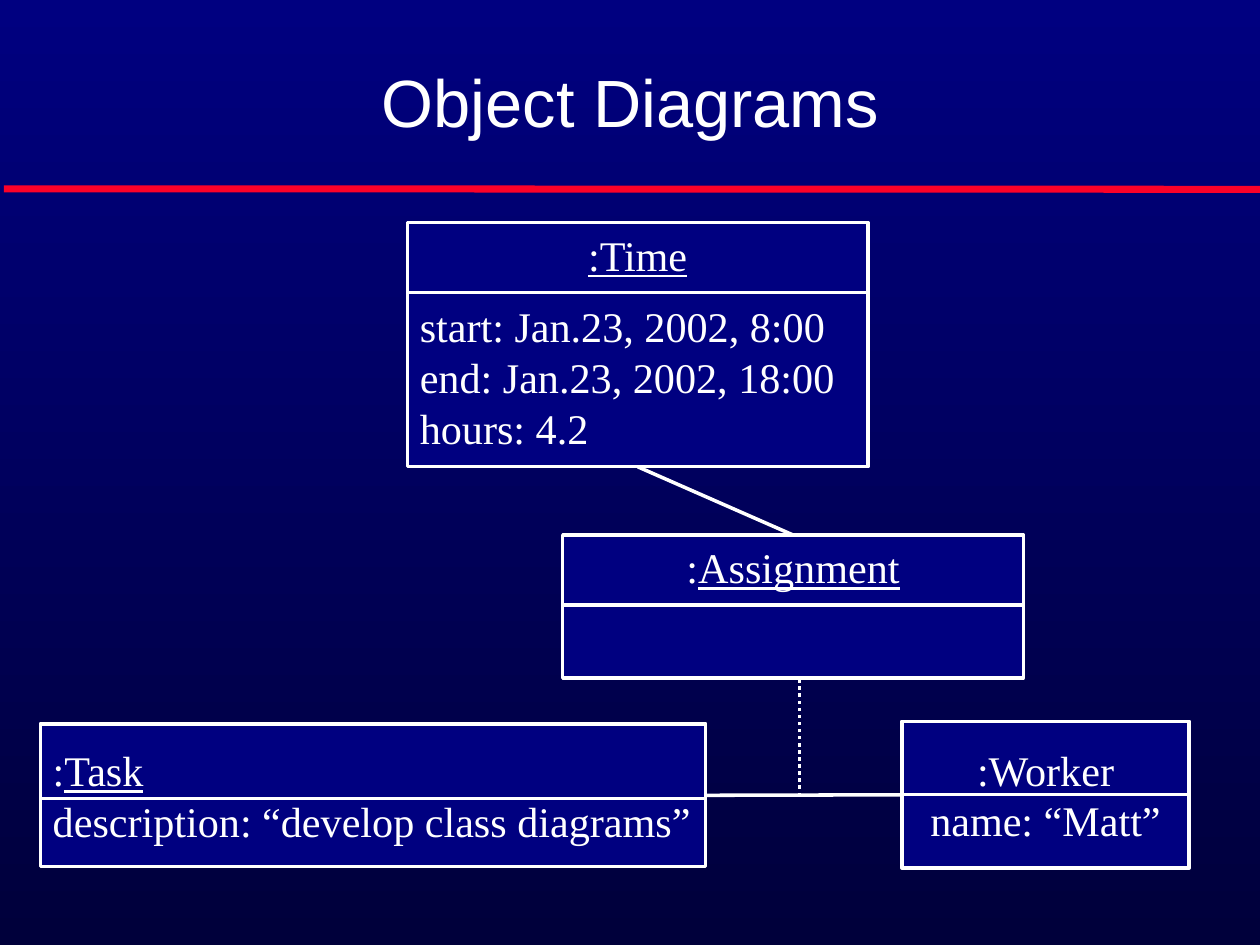
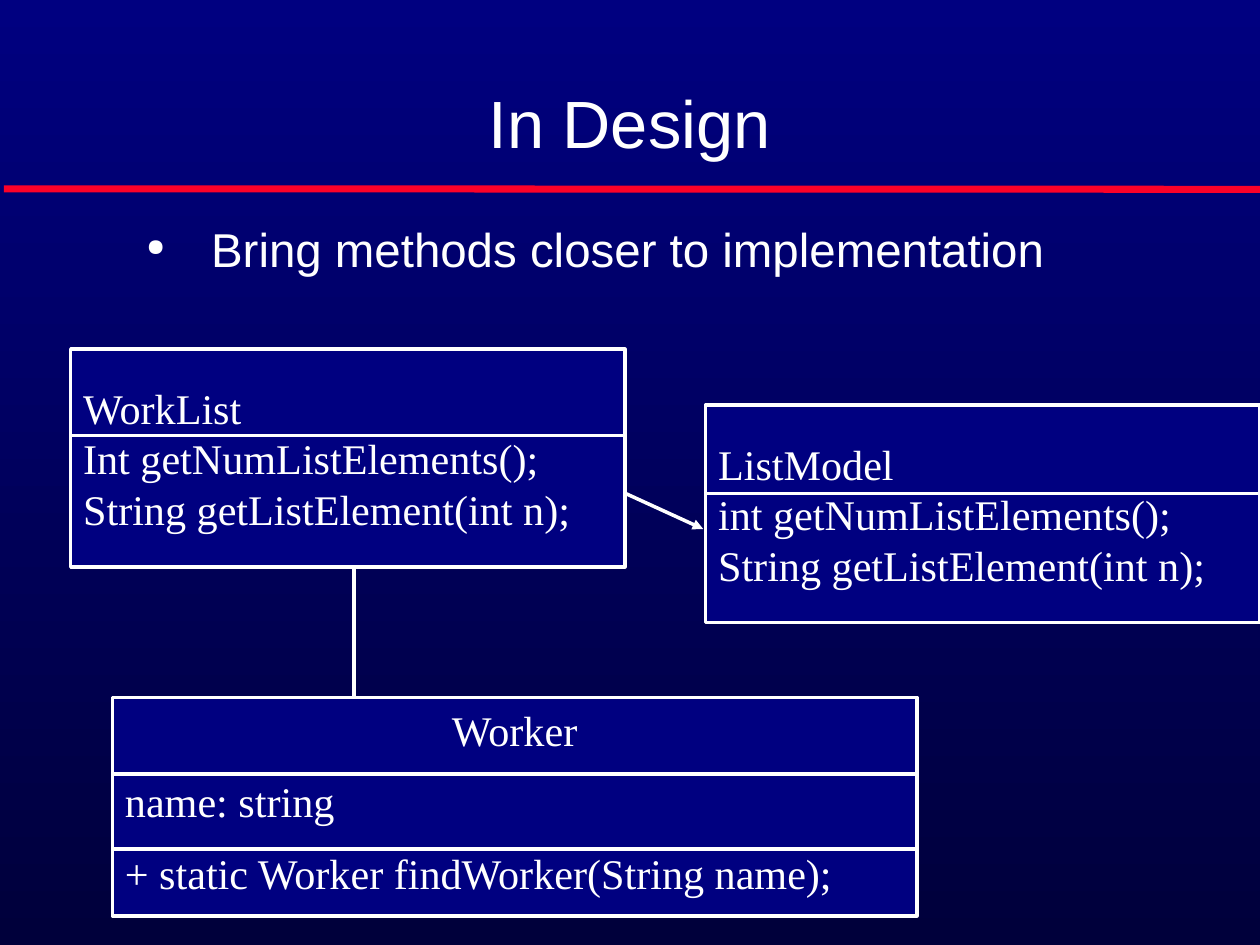
"""Build two slides on UML object diagrams and class design."""
from dataclasses import dataclass
from typing import NamedTuple

from lxml import etree
from pptx import Presentation
from pptx.dml.color import RGBColor
from pptx.enum.dml import MSO_LINE
from pptx.enum.shapes import MSO_CONNECTOR, MSO_SHAPE
from pptx.enum.text import MSO_ANCHOR, PP_ALIGN
from pptx.oxml.ns import qn
from pptx.util import Cm, Pt

STRAIGHT = MSO_CONNECTOR.STRAIGHT
RECTANGLE = MSO_SHAPE.RECTANGLE
TOP, MIDDLE, BOTTOM = MSO_ANCHOR.TOP, MSO_ANCHOR.MIDDLE, MSO_ANCHOR.BOTTOM
LEFT, CENTER = PP_ALIGN.LEFT, PP_ALIGN.CENTER
DOTTED = MSO_LINE.ROUND_DOT
COLORS = {"navy": "000080", "night": "00003B", "rule": "FC0128", "ink": "FFFFFF"}
TITLE_FONT, DIAGRAM_FONT = "Arial", "Times New Roman"
SITE_TOP, SITE_LEFT, SITE_BOTTOM, SITE_RIGHT = range(4)
BLANK_LAYOUT = 6


class Area(NamedTuple):
    """Left, top, width and height in centimetres."""
    left: float
    top: float
    width: float
    height: float


class Row(NamedTuple):
    """One paragraph of a class box."""
    plain: str = ""
    underlined: str = ""
    align: PP_ALIGN = LEFT
    space_before: float = 0


@dataclass(frozen=True)
class ClassBox:
    """A UML box with its rows and the heights of its dividers."""
    area: Area
    rows: tuple[Row, ...]
    dividers: tuple[float, ...]
    anchor: MSO_ANCHOR = TOP


@dataclass(frozen=True)
class Line:
    """A straight line between two points in centimetres."""
    x1: float
    y1: float
    x2: float
    y2: float
    color: str = "ink"
    width: float = 2
    dash: MSO_LINE | None = None
    arrow: bool = False


TIME = ClassBox(
    Area(8.18, 4.47, 9.25, 4.9),
    (
        Row(underlined=":Time", align=CENTER),
        Row("start: Jan.23, 2002, 8:00", space_before=12),
        Row("end: Jan.23, 2002, 18:00"),
        Row("hours: 4.2"),
    ),
    (5.87,),
)
ASSIGNMENT = ClassBox(
    Area(11.3, 10.74, 9.25, 2.87), (Row(":", "Assignment", CENTER),), (12.14,)
)
TASK = ClassBox(
    Area(0.81, 14.53, 13.36, 2.87),
    (Row(":", "Task"), Row("description: “develop class diagrams”")),
    (16.03,),
    MIDDLE,
)
MATT = ClassBox(
    Area(18.11, 14.48, 5.77, 2.95),
    (Row(":Worker", align=CENTER), Row("name: “Matt”", align=CENTER)),
    (15.95,),
    MIDDLE,
)
WORKER = ClassBox(
    Area(2.26, 14, 16.15, 4.39),
    (
        Row("Worker", align=CENTER),
        Row("name: string", space_before=12),
        Row("+ static Worker findWorker(String name);", space_before=12),
    ),
    (15.54, 17.04),
)
WORK_LIST = ClassBox(
    Area(1.42, 7.01, 11.13, 4.37),
    (
        Row("WorkList"),
        Row("Int getNumListElements();"),
        Row("String getListElement(int n);"),
    ),
    (8.74,),
    MIDDLE,
)
LIST_MODEL = ClassBox(
    Area(14.17, 8.13, 11.13, 4.37),
    (
        Row("ListModel"),
        Row("int getNumListElements();"),
        Row("String getListElement(int n);"),
    ),
    (9.91,),
    MIDDLE,
)


def rgb(name: str) -> RGBColor:
    """Look up a colour by name."""
    return RGBColor.from_string(COLORS[name])


def style(paragraph, font: str, size: float) -> None:
    """Set the font of a whole paragraph."""
    paragraph.font.name = font
    paragraph.font.size = Pt(size)
    paragraph.font.color.rgb = rgb("ink")


def set_frame(frame, anchor: MSO_ANCHOR) -> None:
    """Set wrapping, margins and anchor of a text frame."""
    frame.word_wrap = True
    frame.vertical_anchor = anchor
    frame.margin_left = frame.margin_right = Cm(0.25)
    frame.margin_top = frame.margin_bottom = Cm(0.13)


def draw_line(page, line: Line):
    """Draw a line, dotted or with an arrowhead on request."""
    ends = (Cm(value) for value in (line.x1, line.y1, line.x2, line.y2))
    connector = page.shapes.add_connector(STRAIGHT, *ends)
    connector.line.color.rgb = rgb(line.color)
    connector.line.width = Pt(line.width)
    if line.dash is not None:
        connector.line.dash_style = line.dash
    if line.arrow:
        stroke = connector.line._get_or_add_ln()
        etree.SubElement(stroke, qn("a:tailEnd"), type="triangle")
    etree.SubElement(connector._element.spPr, qn("a:effectLst"))
    return connector


def add_text_box(page, area: Area, text: str, anchor: MSO_ANCHOR):
    """Add a one-paragraph text box and return its paragraph."""
    box = page.shapes.add_textbox(*map(Cm, area))
    set_frame(box.text_frame, anchor)
    paragraph = box.text_frame.paragraphs[0]
    paragraph.add_run().text = text
    return paragraph


def add_page(deck, title: str, area: Area):
    """Add a page with its red rule and title."""
    page = deck.slides.add_slide(deck.slide_layouts[BLANK_LAYOUT])
    draw_line(page, Line(0.08, 3.79, 25.3, 3.8, "rule", 4))
    paragraph = add_text_box(page, area, title, BOTTOM)
    paragraph.alignment = CENTER
    style(paragraph, TITLE_FONT, 38)
    return page


def add_bullet(page, area: Area, text: str) -> None:
    """Add a bulleted line of text."""
    paragraph = add_text_box(page, area, text, TOP)
    properties = paragraph._p.get_or_add_pPr()
    properties.set("marL", str(Cm(1.3)))
    properties.set("indent", str(-Cm(1.3)))
    color = etree.SubElement(properties, qn("a:buClr"))
    etree.SubElement(color, qn("a:srgbClr"), val=COLORS["ink"])
    etree.SubElement(properties, qn("a:buSzPct"), val="50000")
    etree.SubElement(properties, qn("a:buChar"), char="●")
    style(paragraph, TITLE_FONT, 27)


def draw_class_box(page, item: ClassBox):
    """Draw a class box with its text and dividers."""
    box = page.shapes.add_shape(RECTANGLE, *map(Cm, item.area))
    box.shadow.inherit = False
    box.fill.solid()
    box.fill.fore_color.rgb = rgb("navy")
    box.line.color.rgb = rgb("ink")
    box.line.width = Pt(2)
    frame = box.text_frame
    set_frame(frame, item.anchor)
    for index, row in enumerate(item.rows):
        paragraph = frame.add_paragraph() if index else frame.paragraphs[0]
        paragraph.alignment = row.align
        if row.space_before:
            paragraph.space_before = Pt(row.space_before)
        style(paragraph, DIAGRAM_FONT, 24)
        if row.plain:
            paragraph.add_run().text = row.plain
        if row.underlined:
            span = paragraph.add_run()
            span.text = row.underlined
            span.font.underline = True
    right = item.area.left + item.area.width
    for height in item.dividers:
        draw_line(page, Line(item.area.left, height, right, height))
    return box


def join(page, start, start_site: int, end, end_site: int) -> None:
    """Connect two boxes with a line glued to their sides."""
    connector = draw_line(page, Line(0, 0, 1, 1))
    connector.begin_connect(start, start_site)
    connector.end_connect(end, end_site)


def build_object_diagrams(deck) -> None:
    """Build the slide with the object diagram."""
    page = add_page(deck, "Object Diagrams", Area(1.91, 0, 21.51, 2.95))
    time, assignment, task, matt = (
        draw_class_box(page, item) for item in (TIME, ASSIGNMENT, TASK, MATT)
    )
    join(page, time, SITE_BOTTOM, assignment, SITE_TOP)
    join(page, task, SITE_RIGHT, matt, SITE_LEFT)
    draw_line(page, Line(16.05, 15.98, 16.05, 13.61, dash=DOTTED))


def build_in_design(deck) -> None:
    """Build the slide with the design classes."""
    page = add_page(deck, "In Design", Area(1.85, 0.84, 21.59, 2.54))
    add_bullet(
        page, Area(2.69, 4.29, 21.59, 2.21), "Bring methods closer to implementation"
    )
    for item in (WORKER, WORK_LIST, LIST_MODEL):
        draw_class_box(page, item)
    draw_line(page, Line(7.11, 11.35, 7.11, 13.97))
    draw_line(page, Line(12.57, 9.91, 14.12, 10.62, arrow=True))


def main() -> None:
    """Build and save the deck."""
    deck = Presentation()
    deck.slide_width, deck.slide_height = Cm(25.3), Cm(18.97)
    fill = deck.slide_master.background.fill
    fill.gradient()
    fill.gradient_angle = 270
    for stop, name in zip(fill.gradient_stops, ("navy", "night")):
        stop.color.rgb = rgb(name)
    build_object_diagrams(deck)
    build_in_design(deck)
    deck.save("out.pptx")


if __name__ == "__main__":
    main()
